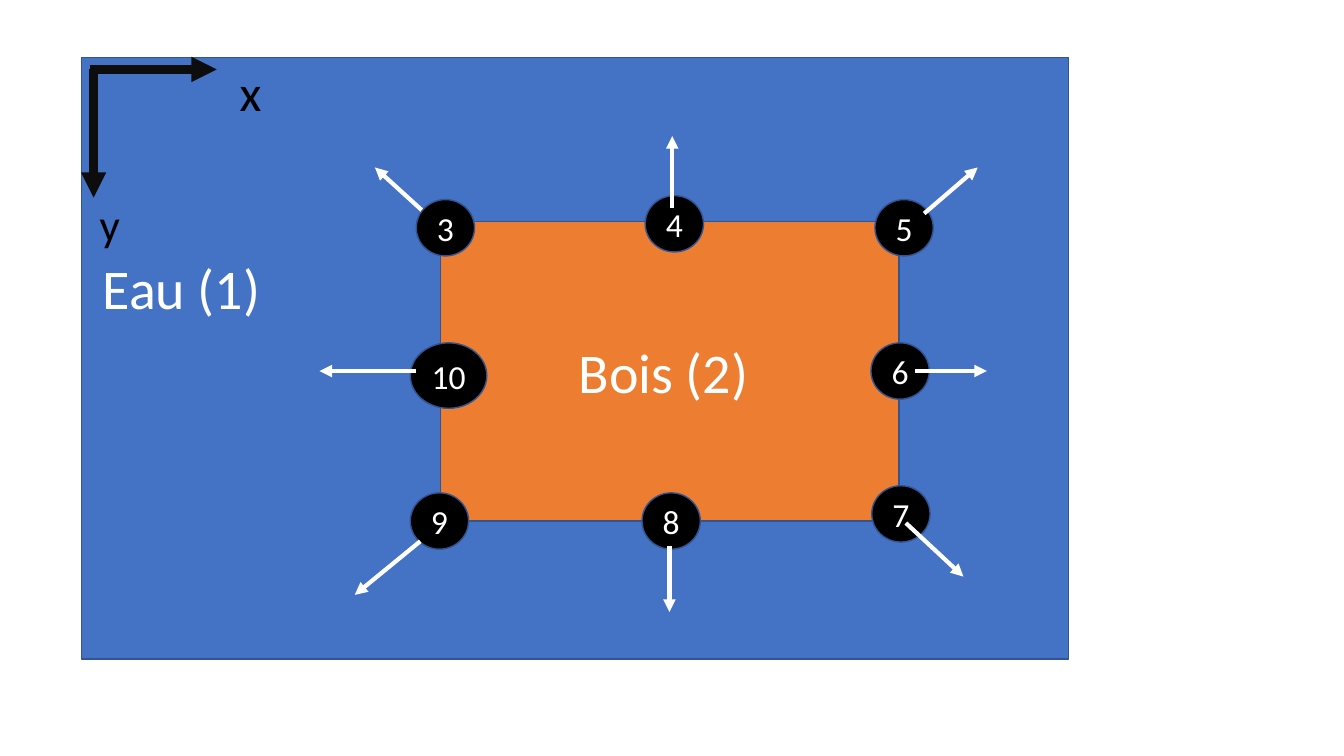
"""Diagram of a wooden block in water with numbered boundary nodes and outward normals."""
from dataclasses import dataclass

from lxml import etree
from pptx import Presentation
from pptx.dml.color import RGBColor
from pptx.enum.shapes import MSO_CONNECTOR, MSO_SHAPE
from pptx.enum.text import MSO_ANCHOR, MSO_AUTO_SIZE, PP_ALIGN
from pptx.oxml.ns import qn
from pptx.shapes.autoshape import Shape
from pptx.slide import Slide
from pptx.text.text import TextFrame
from pptx.util import Cm, Pt

RECTANGLE = MSO_SHAPE.RECTANGLE
OVAL = MSO_SHAPE.OVAL
STRAIGHT = MSO_CONNECTOR.STRAIGHT
MIDDLE = MSO_ANCHOR.MIDDLE
CENTER = PP_ALIGN.CENTER
LEFT = PP_ALIGN.LEFT
GROW = MSO_AUTO_SIZE.SHAPE_TO_FIT_TEXT
BLANK_LAYOUT = 6


@dataclass(frozen=True)
class Theme:
    font: str = "Calibri"
    water: str = "4472C4"
    wood: str = "ED7D31"
    outline: str = "325491"
    black: str = "000000"
    white: str = "FFFFFF"
    axis: str = "0D0D0D"
    medium_size: int = 40
    x_size: int = 36
    y_size: int = 32
    node_size: int = 24
    outline_width: int = 1
    normal_width: int = 3
    axis_width: int = 6


THEME = Theme()


@dataclass(frozen=True)
class Box:
    left: float
    top: float
    width: float
    height: float

    def lengths(self) -> tuple[Cm, Cm, Cm, Cm]:
        return Cm(self.left), Cm(self.top), Cm(self.width), Cm(self.height)


@dataclass(frozen=True)
class Arrow:
    start_x: float
    start_y: float
    end_x: float
    end_y: float


@dataclass(frozen=True)
class Node:
    number: int
    left: float
    top: float
    normal: Arrow
    width: float = 1.47
    height: float = 1.42
    normal_behind: bool = False


@dataclass(frozen=True)
class Label:
    text: str
    box: Box
    size: int
    color: str


WATER = Box(2.06, 1.45, 24.87, 15.16)
WOOD = Box(11.1, 5.59, 11.56, 7.54)
NODES = (
    Node(3, 10.49, 5.03, Arrow(11.15, 5.77, 9.45, 4.22), normal_behind=True),
    Node(4, 16.26, 4.93, Arrow(16.94, 5.23, 16.94, 3.43)),
    Node(5, 22.05, 5.03, Arrow(23.29, 5.38, 24.64, 4.22)),
    Node(6, 21.95, 8.64, Arrow(23.06, 9.35, 24.87, 9.35)),
    Node(7, 21.97, 12.24, Arrow(22.83, 13.18, 24.28, 14.53)),
    Node(8, 16.18, 12.42, Arrow(16.87, 13.77, 16.87, 15.42)),
    Node(9, 10.34, 12.42, Arrow(10.59, 13.64, 8.94, 14.99)),
    Node(10, 10.34, 8.64, Arrow(10.49, 9.35, 8.05, 9.35), 1.93, 1.65),
)
AXES = (Arrow(2.26, 1.75, 5.46, 1.75), Arrow(2.36, 1.75, 2.36, 4.98))
LABELS = (
    Label("x", Box(5.79, 1.42, 1.47, 1.8), THEME.x_size, THEME.black),
    Label("y", Box(2.26, 4.83, 1.47, 1.63), THEME.y_size, THEME.black),
    Label("Eau (1)", Box(2.34, 6.27, 4.57, 1.96), THEME.medium_size, THEME.white),
)


def write_text(frame: TextFrame, text: str, size: int, color: str, alignment: PP_ALIGN) -> None:
    paragraph = frame.paragraphs[0]
    paragraph.alignment = alignment
    run = paragraph.add_run()
    run.text = text
    run.font.name = THEME.font
    run.font.size = Pt(size)
    run.font.color.rgb = RGBColor.from_string(color)


def draw_shape(slide: Slide, preset: MSO_SHAPE, box: Box, fill: str) -> Shape:
    shape = slide.shapes.add_shape(preset, *box.lengths())
    shape.shadow.inherit = False
    shape.fill.solid()
    shape.fill.fore_color.rgb = RGBColor.from_string(fill)
    shape.line.color.rgb = RGBColor.from_string(THEME.outline)
    shape.line.width = Pt(THEME.outline_width)
    shape.text_frame.vertical_anchor = MIDDLE
    return shape


def draw_arrow(slide: Slide, arrow: Arrow, color: str, width: int) -> None:
    connector = slide.shapes.add_connector(
        STRAIGHT, Cm(arrow.start_x), Cm(arrow.start_y), Cm(arrow.end_x), Cm(arrow.end_y)
    )
    connector.line.color.rgb = RGBColor.from_string(color)
    connector.line.width = Pt(width)
    etree.SubElement(connector.line._get_or_add_ln(), qn("a:tailEnd"), type="triangle")
    etree.SubElement(connector._element.spPr, qn("a:effectLst"))


def draw_normals(slide: Slide, behind: bool) -> None:
    for node in NODES:
        if node.normal_behind == behind:
            draw_arrow(slide, node.normal, THEME.white, THEME.normal_width)


def draw_node(slide: Slide, node: Node) -> None:
    box = Box(node.left, node.top, node.width, node.height)
    frame = draw_shape(slide, OVAL, box, THEME.black).text_frame
    frame.word_wrap = False
    write_text(frame, str(node.number), THEME.node_size, THEME.white, CENTER)


def draw_label(slide: Slide, label: Label) -> None:
    frame = slide.shapes.add_textbox(*label.box.lengths()).text_frame
    frame.word_wrap = True
    frame.auto_size = GROW
    write_text(frame, label.text, label.size, label.color, LEFT)


def main() -> None:
    presentation = Presentation()
    presentation.slide_width = Cm(33.87)
    presentation.slide_height = Cm(19.05)
    slide = presentation.slides.add_slide(presentation.slide_layouts[BLANK_LAYOUT])

    draw_shape(slide, RECTANGLE, WATER, THEME.water)
    draw_normals(slide, behind=True)
    wood = draw_shape(slide, RECTANGLE, WOOD, THEME.wood)
    write_text(wood.text_frame, "Bois (2) ", THEME.medium_size, THEME.white, CENTER)
    for node in NODES:
        draw_node(slide, node)
    draw_normals(slide, behind=False)
    for axis in AXES:
        draw_arrow(slide, axis, THEME.axis, THEME.axis_width)
    for label in LABELS:
        draw_label(slide, label)

    presentation.save("out.pptx")


if __name__ == "__main__":
    main()
